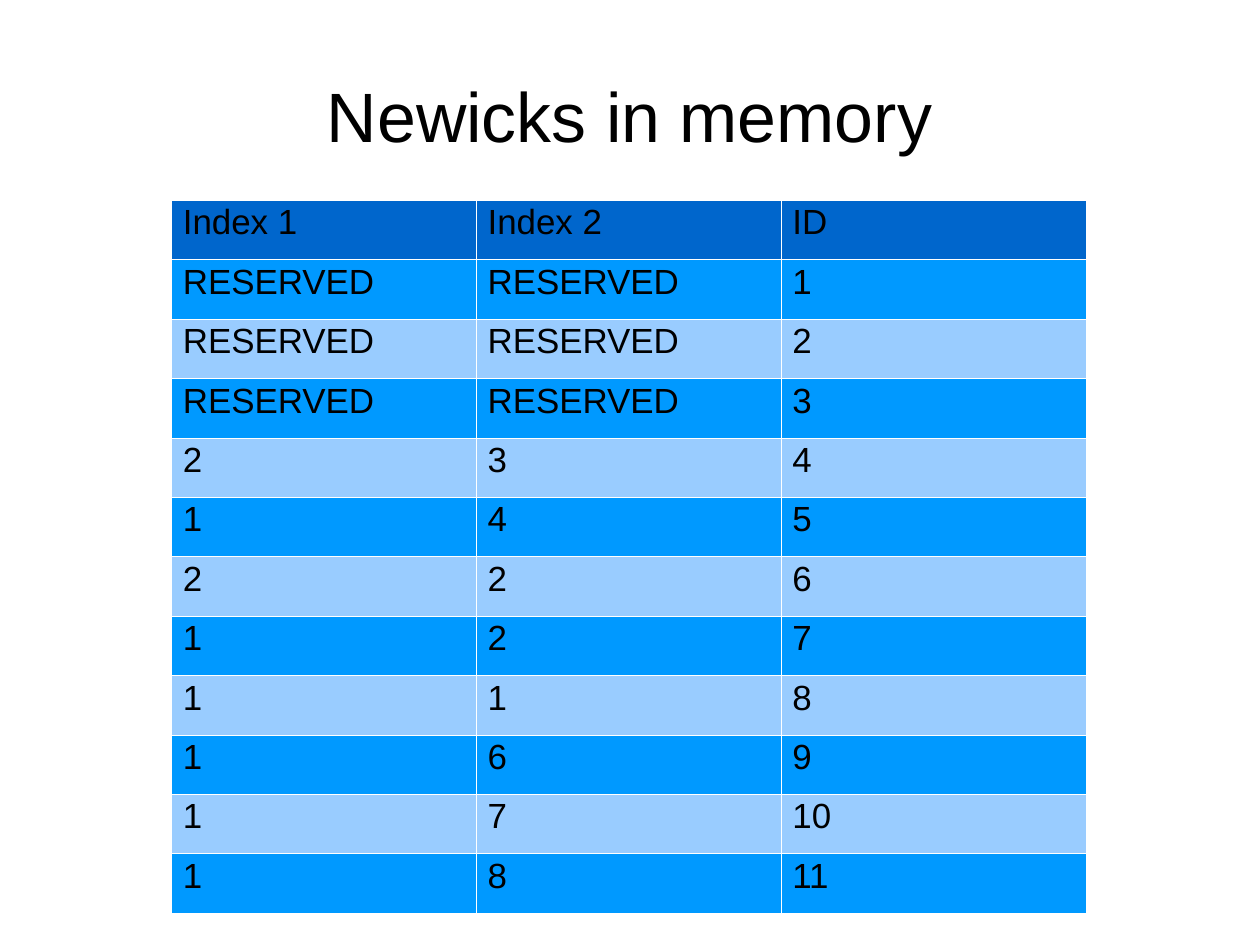
from lxml.etree import SubElement
from pptx import Presentation
from pptx.dml.color import RGBColor
from pptx.enum.text import MSO_ANCHOR as Anchor, PP_ALIGN as Align
from pptx.oxml.ns import qn
from pptx.util import Inches, Pt

# A slide of 28 by 21 centimetres
CM_PER_INCH = 2.54
SLIDE_WIDTH = 28 / CM_PER_INCH
SLIDE_HEIGHT = 21 / CM_PER_INCH

COLORS = {
    "text": "000000",
    "border": "FFFFFF",
    "header": "0066CC",
    "odd": "0099FF",
    "even": "99CCFF",
}
LINE_SPACING = 0.93
BORDER_WIDTH = Pt(0.06)

HEADERS = ("Index 1", "Index 2", "ID")
INDEX_PAIRS = [("RESERVED", "RESERVED")] * 3 + [
    (2, 3), (1, 4), (2, 2), (1, 2), (1, 1), (1, 6), (1, 7), (1, 8),
]


def write(frame, text, size, align):
    paragraph = frame.paragraphs[0]
    paragraph.alignment = align
    paragraph.line_spacing = LINE_SPACING
    run = paragraph.add_run()
    run.text = str(text)
    for attribute, value in {"name": "Arial", "size": Pt(size), "bold": False}.items():
        setattr(run.font, attribute, value)
    run.font.color.rgb = RGBColor.from_string(COLORS["text"])


def add_borders(cell):
    properties = cell._tc.get_or_add_tcPr()
    for side in ("a:lnL", "a:lnR", "a:lnT", "a:lnB"):
        line = SubElement(properties, qn(side), w=str(BORDER_WIDTH))
        fill = SubElement(line, qn("a:solidFill"))
        SubElement(fill, qn("a:srgbClr"), val=COLORS["border"])


def add_title(slide, left, top, width, height):
    title = slide.shapes.add_textbox(*map(Inches, (left, top, width, height)))
    frame = title.text_frame
    frame_format = {
        "word_wrap": True,
        "vertical_anchor": Anchor.MIDDLE,
        "margin_left": 0,
        "margin_top": Inches(0.04),
        "margin_right": 0,
        "margin_bottom": 0,
    }
    for attribute, value in frame_format.items():
        setattr(frame, attribute, value)
    write(frame, "Newicks in memory", 44, Align.CENTER)


def add_newick_table(slide, left, top, width, height):
    # Each pair of indexes gets the next ID
    rows = [HEADERS] + [(*pair, i) for i, pair in enumerate(INDEX_PAIRS, 1)]
    box = map(Inches, (left, top, width, height))
    table = slide.shapes.add_table(len(rows), len(HEADERS), *box).table
    cell_format = {
        "margin_left": Inches(0.1),
        "margin_top": Inches(0.05),
        "margin_right": Inches(0.1),
        "margin_bottom": Inches(0.05),
        "vertical_anchor": Anchor.TOP,
    }
    for r, row in enumerate(rows):
        band = "header" if r == 0 else "odd" if r % 2 else "even"
        for c, value in enumerate(row):
            cell = table.cell(r, c)
            for attribute, setting in cell_format.items():
                setattr(cell, attribute, setting)
            add_borders(cell)
            cell.fill.solid()
            cell.fill.fore_color.rgb = RGBColor.from_string(COLORS[band])
            write(cell.text_frame, value, 22, Align.LEFT)


def main():
    presentation = Presentation()
    presentation.slide_width = Inches(SLIDE_WIDTH)
    presentation.slide_height = Inches(SLIDE_HEIGHT)
    slide = presentation.slides.add_slide(presentation.slide_layouts[6])
    add_title(slide, 0.55, 0.33, 9.92, 1.38)
    add_newick_table(slide, 1.5, 1.75, 8, 6.24)
    presentation.save("out.pptx")


if __name__ == "__main__":
    main()
